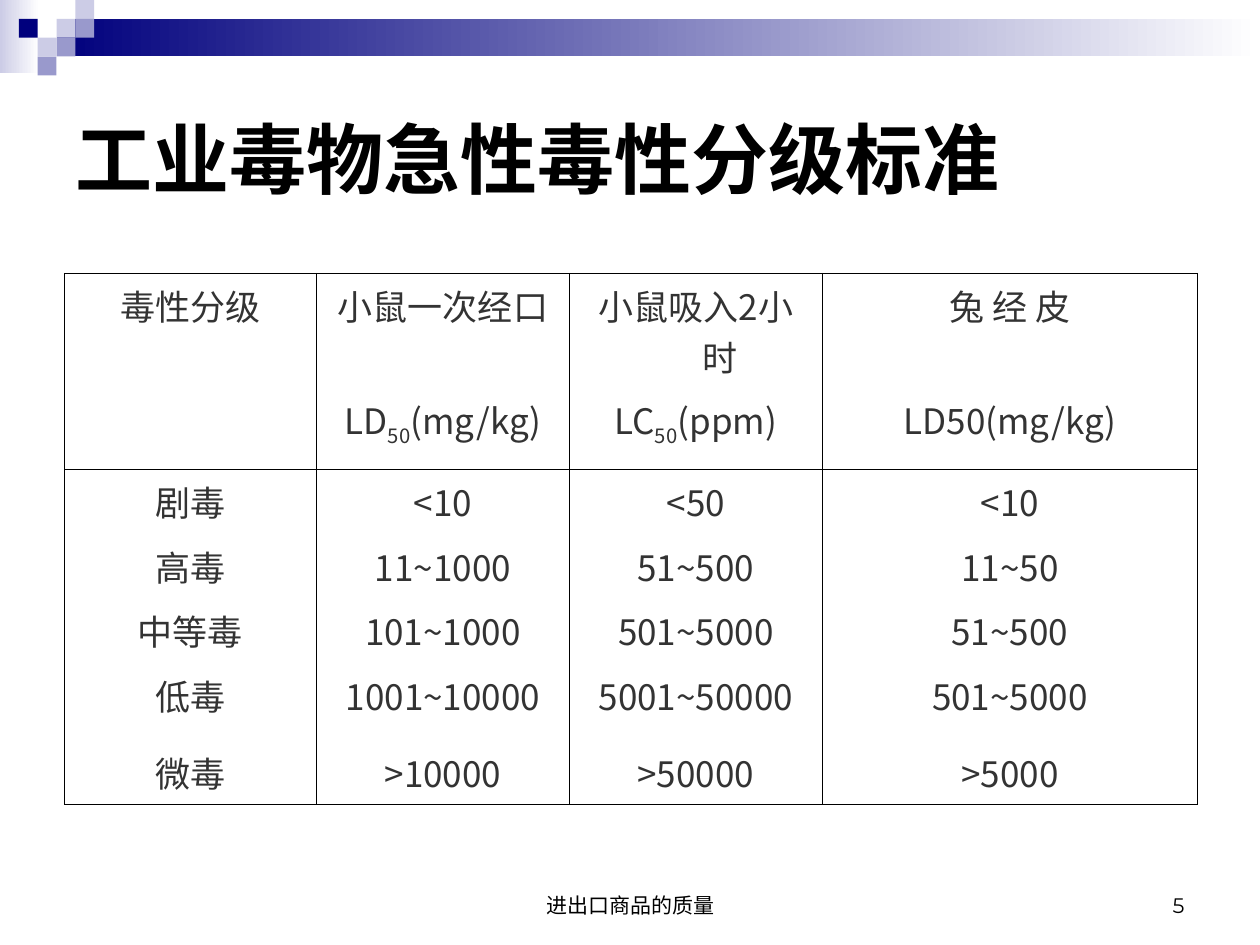
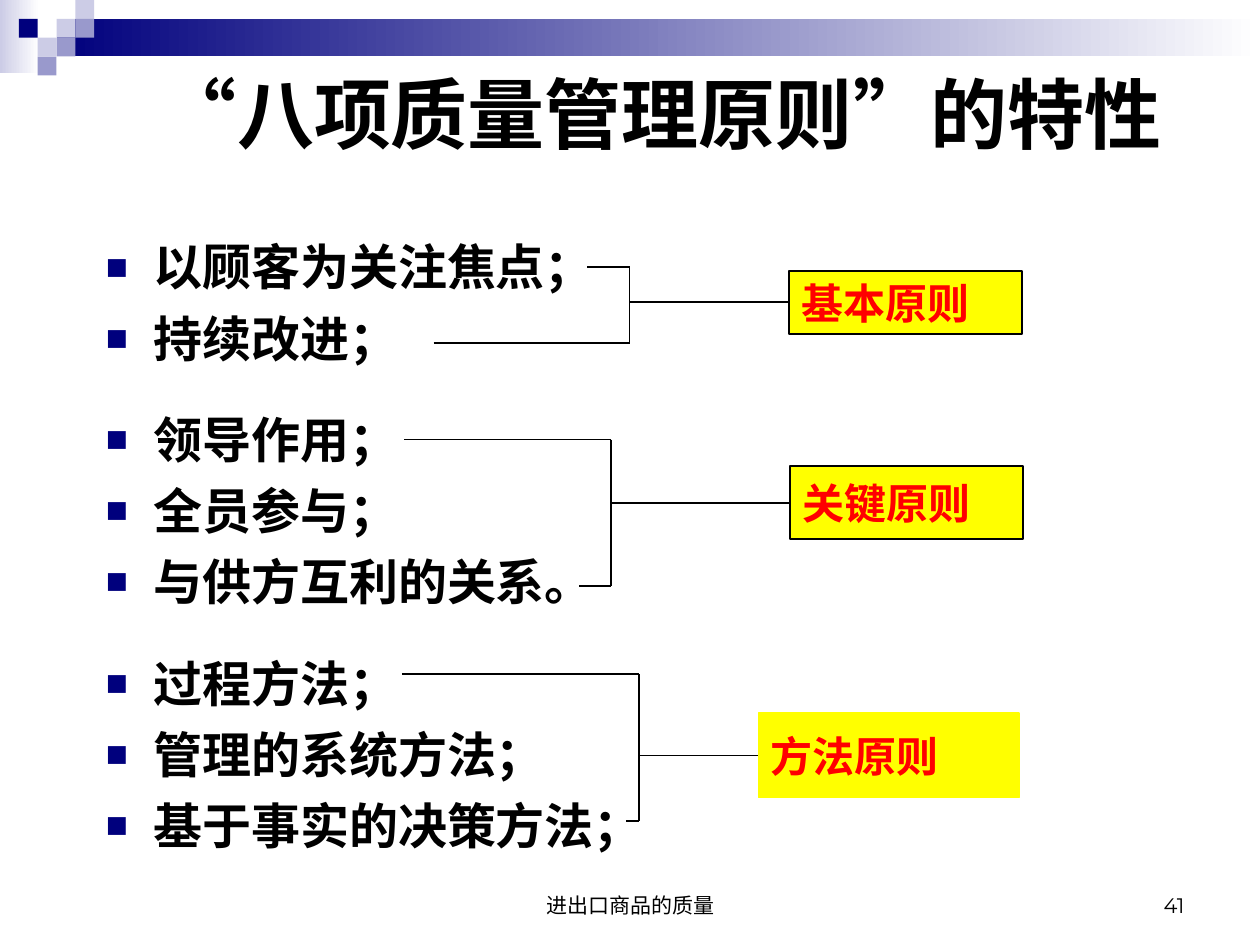
"""Build two slides on toxicity grading and the quality management principles."""
from lxml.etree import SubElement
from pptx import Presentation
from pptx.dml.color import RGBColor
from pptx.enum.shapes import MSO_CONNECTOR, MSO_SHAPE
from pptx.enum.text import MSO_ANCHOR, MSO_AUTO_SIZE, PP_ALIGN
from pptx.oxml.ns import qn
from pptx.util import Cm, Pt

BLACK = RGBColor(0x00, 0x00, 0x00)
WHITE = RGBColor(0xFF, 0xFF, 0xFF)
GREY = RGBColor(0x33, 0x33, 0x33)
NAVY = RGBColor(0x00, 0x00, 0x7D)
LILAC = RGBColor(0x99, 0x99, 0xCC)
PALE = RGBColor(0xCC, 0xCC, 0xE6)
YELLOW = RGBColor(0xFF, 0xFF, 0x00)
RED = RGBColor(0xFF, 0x00, 0x00)

SANS, SERIF, NUMERIC, CHINESE = "Arial", "Times New Roman", "Montserrat", "Noto Sans CJK SC"
FOOTER = "进出口商品的质量"
HANGING = Cm(0.96)
SQUARE = 0.38
SQUARES = [(3, 1, PALE), (4, 0, PALE), (4, 1, LILAC), (2, 2, PALE),
           (1, 1, NAVY), (3, 2, LILAC), (2, 3, LILAC)]

TOXICITY = [
    ["毒性分级", "小鼠一次经口", "小鼠吸入2小时", "兔 经 皮"],
    ["", ("LD", "50", "(mg/kg)"), ("LC", "50", "(ppm)"), "LD50(mg/kg)"],
    ["剧毒", "<10", "<50", "<10"],
    ["高毒", "11~1000", "51~500", "11~50"],
    ["中等毒", "101~1000", "501~5000", "51~500"],
    ["低毒", "1001~10000", "5001~50000", "501~5000"],
    ["微毒", ">10000", ">50000", ">5000"],
]
COLUMN_WIDTHS = [5.08, 5.1, 5.1, 7.56]
ROW_HEIGHTS = [2.31, 1.65, 1.3, 1.3, 1.3, 1.55, 1.3]

PRINCIPLE_GROUPS = [
    ["以顾客为关注焦点；", "持续改进；"],
    ["领导作用；", "全员参与；", "与供方互利的关系。"],
    ["过程方法；", "管理的系统方法；", "基于事实的决策方法；"],
]
BRACKETS = [
    ("基本原则", (15.9, 5.46, 4.7, 1.27), BLACK, 12.69, [(11.84, 5.38), (8.74, 6.91)]),
    ("关键原则", (15.93, 9.4, 4.7, 1.47), BLACK, 12.32, [(8.15, 8.86), (11.68, 11.81)]),
    ("方法原则", (15.29, 14.38, 5.26, 1.7), YELLOW, 12.88, [(8.1, 13.59), (12.62, 16.55)]),
]


def style_paragraph(para, size, name, color, bold=False, align=PP_ALIGN.LEFT):
    """Set alignment and font for the whole paragraph."""
    para.alignment = align
    font = para.font
    font.size, font.name, font.bold = Pt(size), name, bold
    font.color.rgb = color
    defaults = para._p.get_or_add_pPr().get_or_add_defRPr()
    SubElement(defaults, qn("a:ea"), typeface=CHINESE)


def hang_indent(para):
    """Give the paragraph its hanging indent and return its properties."""
    props = para._p.get_or_add_pPr()
    props.set("marL", str(HANGING))
    props.set("indent", str(-HANGING))
    return props


def add_rect(page, place, fill, line=None):
    """Add a rectangle filled with one colour, or with a pair as a gradient."""
    box = page.shapes.add_shape(MSO_SHAPE.RECTANGLE, *map(Cm, place))
    box.shadow.inherit = False
    if isinstance(fill, RGBColor):
        box.fill.solid()
        box.fill.fore_color.rgb = fill
    else:
        box.fill.gradient()
        box.fill.gradient_angle = 0
        for stop, color in zip(box.fill.gradient_stops, fill):
            stop.color.rgb = color
    if line is None:
        box.line.fill.background()
    else:
        box.line.color.rgb = line
        box.line.width = Pt(1)
    return box


def add_line(page, x1, y1, x2, y2):
    """Add a thin black straight connector."""
    line = page.shapes.add_connector(MSO_CONNECTOR.STRAIGHT, *map(Cm, (x1, y1, x2, y2)))
    line.line.color.rgb = BLACK
    line.line.width = Pt(1)
    SubElement(line._element.spPr, qn("a:effectLst"))
    return line


def add_footer_text(page, left, width, text, name, align):
    """Add one text box on the footer line."""
    box = page.shapes.add_textbox(Cm(left), Cm(17.35), Cm(width), Cm(1.27))
    frame = box.text_frame
    frame.word_wrap = True
    frame.vertical_anchor = MSO_ANCHOR.BOTTOM
    frame.text = text
    style_paragraph(frame.paragraphs[0], 12, name, BLACK, align=align)


def move_placeholder(holder, place, anchor):
    """Place a placeholder, fix its size and return its text frame."""
    holder.left, holder.top, holder.width, holder.height = map(Cm, place)
    frame = holder.text_frame
    frame.auto_size = MSO_AUTO_SIZE.NONE
    frame.vertical_anchor = anchor
    return frame


def add_page(deck, layout, number, title_place, title_spans):
    """Add a slide with the header band, title and footer."""
    page = deck.slides.add_slide(deck.slide_layouts[layout])
    add_rect(page, (0, 0, 0.79, 1.47), (PALE, WHITE))
    add_rect(page, (1.14, 0.38, 24.26, 0.76), (NAVY, WHITE))
    for column, row, color in SQUARES:
        add_rect(page, (column * SQUARE, row * SQUARE, SQUARE, SQUARE), color)
    para = move_placeholder(page.shapes.title, title_place, MSO_ANCHOR.MIDDLE).paragraphs[0]
    style_paragraph(para, 44, SANS, BLACK, bold=True)
    for text, name in title_spans:
        span = para.add_run()
        span.text, span.font.name = text, name
    add_footer_text(page, 8.69, 8.05, FOOTER, SANS, PP_ALIGN.CENTER)
    add_footer_text(page, 18.21, 5.92, str(number), NUMERIC, PP_ALIGN.RIGHT)
    return page


def set_borders(cell, visible):
    """Draw the named cell sides in black and clear the others."""
    props = cell._tc.get_or_add_tcPr()
    for side in "LRTB":
        edge = SubElement(props, qn(f"a:ln{side}"), w=str(Pt(0.45)))
        if side in visible:
            paint = SubElement(edge, qn("a:solidFill"))
            SubElement(paint, qn("a:srgbClr"), val=str(BLACK))
        else:
            SubElement(edge, qn("a:noFill"))


def fill_cell(cell, content):
    """Write a cell; the middle part of a tuple is a subscript."""
    para = cell.text_frame.paragraphs[0]
    hang_indent(para)
    style_paragraph(para, 20, CHINESE, GREY, align=PP_ALIGN.CENTER)
    parts = (content,) if isinstance(content, str) else content
    for index, text in enumerate(parts):
        span = para.add_run()
        span.text = text
        if index == 1:
            span._r.get_or_add_rPr().set("baseline", "-25000")


def add_toxicity_table(page):
    """Add the grading table with a two-row heading."""
    last = len(TOXICITY) - 1
    frame = page.shapes.add_table(len(TOXICITY), len(COLUMN_WIDTHS), Cm(1.3), Cm(5.51),
                                  Cm(sum(COLUMN_WIDTHS)), Cm(sum(ROW_HEIGHTS)))
    table = frame.table
    table.first_row = table.horz_banding = False
    for column, width in zip(table.columns, COLUMN_WIDTHS):
        column.width = Cm(width)
    for row, height in zip(table.rows, ROW_HEIGHTS):
        row.height = Cm(height)
    table.cell(0, 0).merge(table.cell(1, 0))
    for r, values in enumerate(TOXICITY):
        for c, content in enumerate(values):
            cell = table.cell(r, c)
            if content:
                fill_cell(cell, content)
            top = "T" if r in (0, 2) else ""
            bottom = "B" if r in (1, last) or cell.is_merge_origin else ""
            set_borders(cell, "LR" + top + bottom)
            cell.fill.background()


def add_bullet(para):
    """Give the paragraph a navy square bullet."""
    props = hang_indent(para)
    color = SubElement(props, qn("a:buClr"))
    SubElement(color, qn("a:srgbClr"), val=str(NAVY))
    SubElement(props, qn("a:buSzPct"), val="75000")
    SubElement(props, qn("a:buFont"), typeface=SANS)
    SubElement(props, qn("a:buChar"), char="■")


def fill_principles(holder):
    """Write the grouped bullet list with a gap after each group."""
    frame = move_placeholder(holder, (1.88, 4.65, 11.5, 13.77), MSO_ANCHOR.TOP)
    frame.text = "\n".join(text for group in PRINCIPLE_GROUPS for text in group)
    group_ends = {group[-1] for group in PRINCIPLE_GROUPS[:-1]}
    for para in frame.paragraphs:
        para.space_before = Pt(7)
        para.space_after = Pt(17.5 if para.text in group_ends else 0)
        add_bullet(para)
        style_paragraph(para, 28, SANS, BLACK, bold=True)


def add_bracket(page, text, place, outline, spine, arms):
    """Add a yellow label and the bracket that ties its principles to it."""
    label = add_rect(page, place, YELLOW, outline)
    frame = label.text_frame
    frame.word_wrap = True
    frame.vertical_anchor = MSO_ANCHOR.MIDDLE
    frame.text = text
    style_paragraph(frame.paragraphs[0], 24, SERIF, RED, bold=True)
    for start, y in arms:
        add_line(page, start, y, spine, y)
    add_line(page, spine, arms[0][1], spine, arms[-1][1])
    left, top, _, height = place
    middle = top + height / 2
    stem = add_line(page, spine, middle, left, middle)
    stem.end_connect(label, 1)


def main():
    """Build and save the deck."""
    deck = Presentation()
    deck.slide_width, deck.slide_height = Cm(25.4), Cm(19.05)

    grading = add_page(deck, 5, 5, (1.27, 1.27, 22.86, 3.81),
                       [("工业毒物急性毒性分级标准", SANS)])
    add_toxicity_table(grading)

    principles = add_page(deck, 1, 41, (2.97, 0.84, 21.59, 2.87),
                          [("“", SERIF), ("八项质量管理原则", SANS),
                           ("”", SERIF), ("的特性", SANS)])
    fill_principles(principles.placeholders[1])
    for bracket in BRACKETS:
        add_bracket(principles, *bracket)

    deck.save("out.pptx")


if __name__ == "__main__":
    main()
